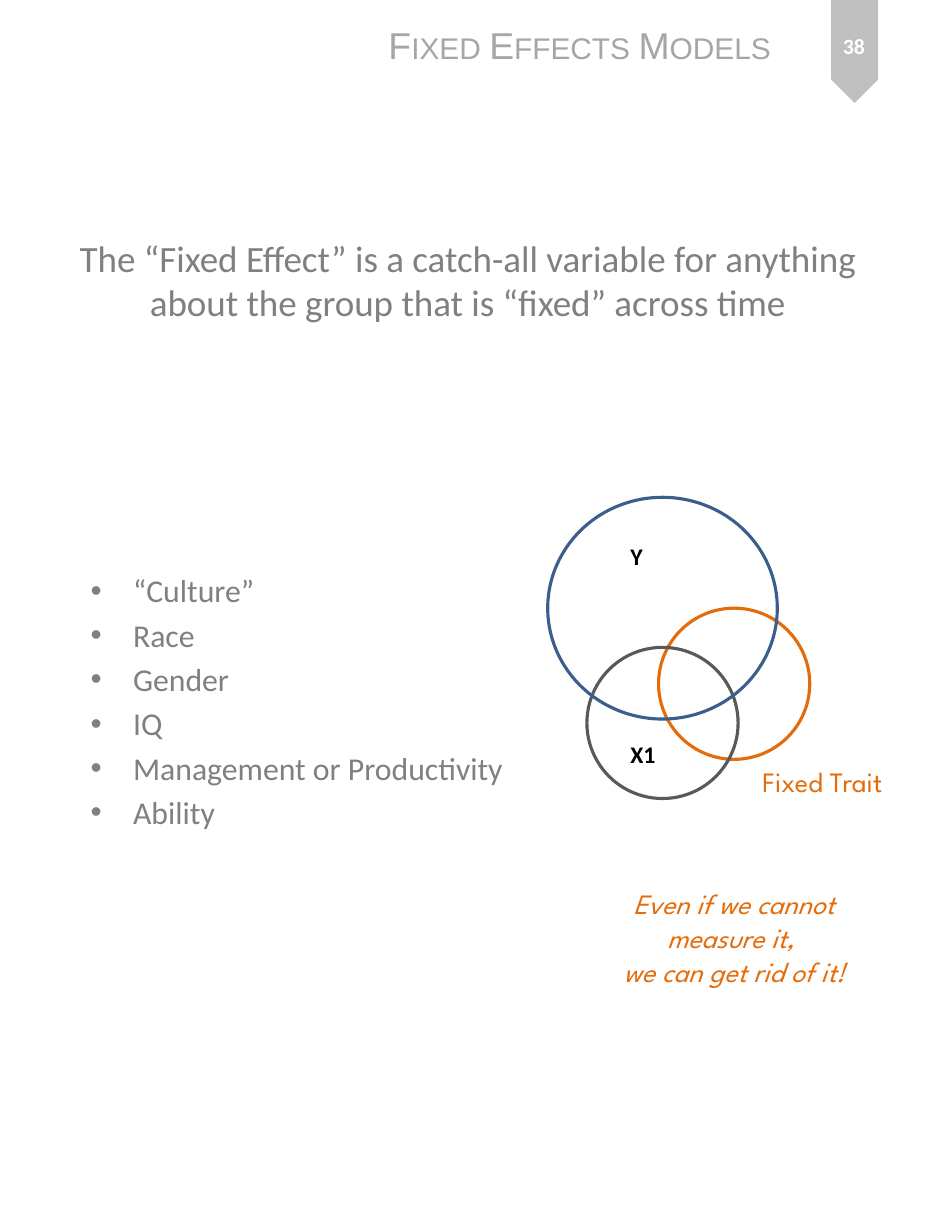
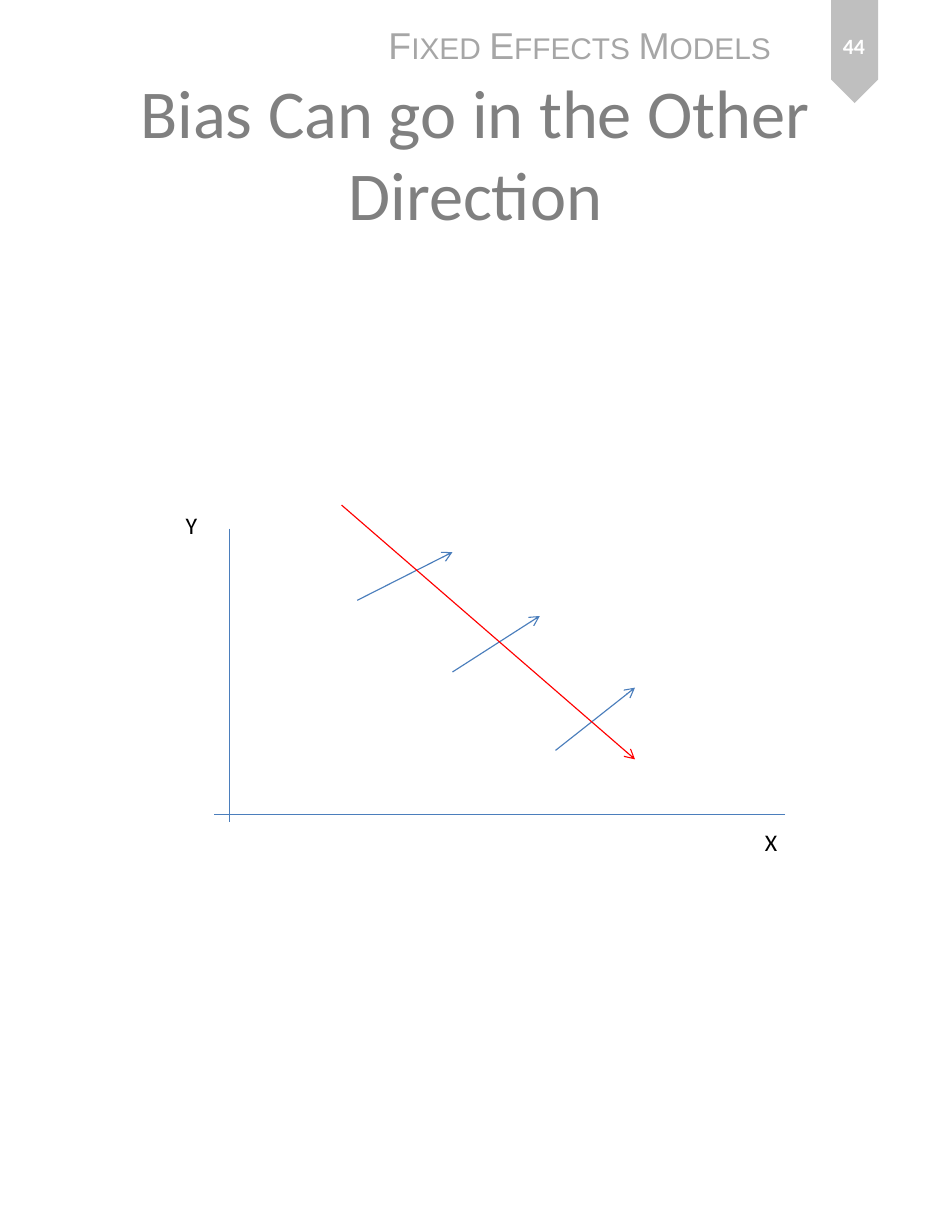
from typing import NamedTuple

from lxml import etree
from pptx import Presentation
from pptx.dml.color import RGBColor
from pptx.enum import shapes, text
from pptx.oxml.ns import qn
from pptx.util import Inches, Pt

COLORS = {
    "ribbon": "BFBFBF",
    "header": "A6A6A6",
    "body": "808080",
    "label": "000000",
    "white": "FFFFFF",
    "trait": "E46C0A",
    "regressor": "595959",
    "outcome": "3A5F8C",
    "axis": "4B7EBC",
    "trend": "FF0000",
}


class Box(NamedTuple):
    left: float
    top: float
    width: float
    height: float


class Style(NamedTuple):
    size: float
    color: str
    font: str = "Calibri"
    bold: bool = False
    italic: bool = False
    small_caps: bool = False


class Label(NamedTuple):
    words: str
    box: Box
    style: Style


class Circle(NamedTuple):
    box: Box
    color: str


class Line(NamedTuple):
    start: tuple[float, float]
    end: tuple[float, float]
    color: str = "axis"
    arrow: bool = False


HEADER = Style(24, "header", "Arial", small_caps=True)
NUMBER = Style(14, "white", bold=True)
STATEMENT = Style(23.8, "body")
TITLE = Style(44, "body")
BULLET = Style(20.4, "body")
SET_NAME = Style(15.3, "label", bold=True)
AXIS_NAME = Style(15.3, "label")
TRAIT = Style(18, "trait", "League Spartan")
REMARK = TRAIT._replace(italic=True)

FIXED_TRAITS = ["“Culture”", "Race", "Gender", "IQ", "Management or Productivity", "Ability"]

VENN_CIRCLES = [
    Circle(Box(5.88, 5.43, 1.35, 1.35), "trait"),
    Circle(Box(5.24, 5.78, 1.35, 1.35), "regressor"),
    Circle(Box(4.89, 4.44, 2.05, 1.98), "outcome"),
]
VENN_LABELS = [
    Label("Y", Box(5.53, 4.79, 0.31, 0.36), SET_NAME),
    Label("Fixed Trait", Box(6.71, 6.78, 1.4, 0.4), TRAIT),
    Label("X1", Box(5.53, 6.56, 0.43, 0.36), SET_NAME),
]

BIAS_LINES = [
    Line((2.05, 4.72), (2.05, 7.34)),
    Line((7.01, 7.27), (1.91, 7.27)),
    Line((3.19, 5.36), (4.04, 4.93), arrow=True),
    Line((4.04, 6), (4.82, 5.5), arrow=True),
    Line((4.96, 6.7), (5.67, 6.14), arrow=True),
    Line((3.05, 4.51), (5.67, 6.78), "trend", arrow=True),
]
BIAS_LABELS = [
    Label("X", Box(6.73, 7.34, 0.31, 0.36), AXIS_NAME),
    Label("Y", Box(1.56, 4.51, 0.31, 0.36), AXIS_NAME),
]


def rgb(name: str) -> RGBColor:
    return RGBColor.from_string(COLORS[name])


def inches(box: Box) -> list[int]:
    return [Inches(v) for v in box]


def add_run(p, words: str, style: Style) -> None:
    r = p.add_run()
    r.text = words
    f = r.font
    f.size, f.name, f.bold, f.italic = Pt(style.size), style.font, style.bold, style.italic
    f.color.rgb = rgb(style.color)
    if style.small_caps:
        r._r.get_or_add_rPr().set("cap", "small")


def add_text(s, paragraphs: list[str], box: Box, style: Style, wrap: bool = True,
             centered: bool = False, middle: bool = False, bullets: bool = False) -> None:
    """Add a text box; a newline inside a paragraph becomes a line break."""
    tf = s.shapes.add_textbox(*inches(box)).text_frame
    tf.word_wrap = wrap
    tf.vertical_anchor = text.MSO_ANCHOR.MIDDLE if middle else text.MSO_ANCHOR.TOP
    for i, paragraph in enumerate(paragraphs):
        p = tf.add_paragraph() if i else tf.paragraphs[0]
        p.alignment = text.PP_ALIGN.CENTER if centered else text.PP_ALIGN.LEFT
        if bullets:
            add_bullet(p)
            p.space_before = Pt(4 if i else 0)
        for j, words in enumerate(paragraph.split("\n")):
            if j:
                p.add_line_break()
            add_run(p, words, style)


def add_bullet(p) -> None:
    pPr = p._p.get_or_add_pPr()
    pPr.set("marL", str(Inches(0.38)))
    pPr.set("indent", str(-Inches(0.38)))
    etree.SubElement(pPr, qn("a:buFont")).set("typeface", "Arial")
    etree.SubElement(pPr, qn("a:buChar")).set("char", "•")


def add_labels(s, labels: list[Label]) -> None:
    for label in labels:
        add_text(s, [label.words], label.box, label.style, wrap=False)


def add_circle(s, circle: Circle) -> None:
    sp = s.shapes.add_shape(shapes.MSO_SHAPE.OVAL, *inches(circle.box))
    sp.shadow.inherit = False
    sp.fill.background()
    sp.line.color.rgb = rgb(circle.color)
    sp.line.width = Pt(2)


def add_line(s, line: Line) -> None:
    c = s.shapes.add_connector(shapes.MSO_CONNECTOR.STRAIGHT,
                               *[Inches(v) for v in line.start + line.end])
    c.line.color.rgb = rgb(line.color)
    c.line.width = Pt(0.75)
    if line.arrow:
        etree.SubElement(c.line._get_or_add_ln(), qn("a:tailEnd")).set("type", "arrow")
    etree.SubElement(c._element.spPr, qn("a:effectLst"))


def add_slide(prs, number: int):
    """Add a blank slide with the course header and the numbered ribbon."""
    s = prs.slides.add_slide(prs.slide_layouts[6])
    sp = s.shapes.add_shape(shapes.MSO_SHAPE.PENTAGON, *inches(Box(7.17, 0.25, 0.92, 0.42)))
    sp.rotation = 90
    sp.shadow.inherit = False
    sp.fill.solid()
    sp.fill.fore_color.rgb = rgb("ribbon")
    sp.line.fill.background()
    add_labels(s, [Label("Fixed Effects Models", Box(3.37, 0.15, 3.68, 0.5), HEADER)])
    add_text(s, [str(number)], Box(7.29, 0.11, 0.67, 0.59), NUMBER, centered=True, middle=True)
    return s


def build_fixed_effect(prs) -> None:
    s = add_slide(prs, 38)
    add_text(s, ["The “Fixed Effect” is a catch-all variable for anything about the group "
                 "that is “fixed” across time"],
             Box(0.35, 1.97, 7.65, 1.06), STATEMENT, centered=True, middle=True)
    add_text(s, FIXED_TRAITS, Box(0.71, 5.05, 7.65, 4.21), BULLET, bullets=True)
    for circle in VENN_CIRCLES:
        add_circle(s, circle)
    add_labels(s, VENN_LABELS)
    add_text(s, ["Even if we cannot\nmeasure it, ", "we can get rid of it!"],
             Box(5.26, 7.87, 2.59, 1.01), REMARK, wrap=False, centered=True)


def build_bias_direction(prs) -> None:
    s = add_slide(prs, 44)
    add_text(s, ["Bias Can go in the Other Direction"], Box(0.42, 0.44, 7.65, 1.83), TITLE,
             centered=True, middle=True)
    for line in BIAS_LINES:
        add_line(s, line)
    add_labels(s, BIAS_LABELS)


def main() -> None:
    prs = Presentation()
    prs.slide_width, prs.slide_height = Inches(8.5), Inches(11)
    build_fixed_effect(prs)
    build_bias_direction(prs)
    prs.save("out.pptx")


if __name__ == "__main__":
    main()
